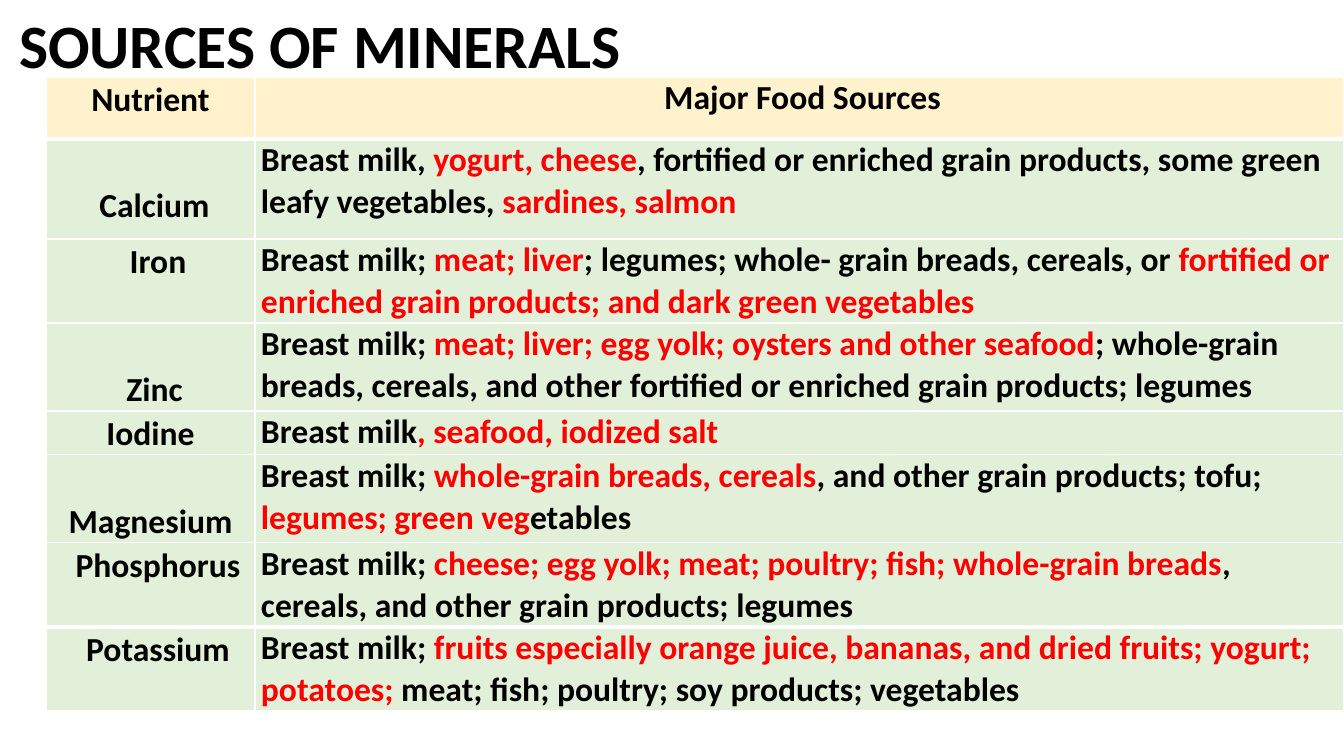
from lxml import etree
from pptx import Presentation
from pptx.dml.color import RGBColor
from pptx.enum.text import MSO_ANCHOR, PP_ALIGN
from pptx.oxml.ns import qn
from pptx.util import Pt

PX = 12192000 // 1344
LEFT, CENTER = PP_ALIGN.LEFT, PP_ALIGN.CENTER
MIDDLE = MSO_ANCHOR.MIDDLE
BLACK = RGBColor(0x00, 0x00, 0x00)
RED = RGBColor(0xFF, 0x00, 0x00)
CREAM = RGBColor(0xFF, 0xF2, 0xCC)
GREEN = RGBColor(0xE2, 0xF0, 0xD9)
WHITE = RGBColor(0xFF, 0xFF, 0xFF)
THIN, THICK = Pt(1), Pt(3)


def write(frame, *parts, size=24, align=LEFT, spacing=1.02):
    """Write one paragraph whose parts alternate between black and red."""
    paragraph = frame.paragraphs[0]
    paragraph.alignment = align
    paragraph.line_spacing = spacing
    for index, part in enumerate(parts):
        run = paragraph.add_run()
        run.text = part
        run.font.name = "Calibri"
        run.font.size = Pt(size)
        run.font.bold = True
        run.font.color.rgb = RED if index % 2 else BLACK


def dress_cell(cell, color, top, bottom):
    """Fill a cell and give it white borders, thin at the sides."""
    cell.fill.solid()
    cell.fill.fore_color.rgb = color
    properties = cell._tc.get_or_add_tcPr()
    edges = (("a:lnL", THIN), ("a:lnR", THIN), ("a:lnT", top), ("a:lnB", bottom))
    for position, (edge, width) in enumerate(edges):
        line = etree.Element(qn(edge), w=str(width))
        fill = etree.SubElement(line, qn("a:solidFill"))
        etree.SubElement(fill, qn("a:srgbClr"), val=str(WHITE))
        properties.insert(position, line)


# nutrient, left margin, top margin, row height, sources (black, red, black, ...)
MINERALS = [
    ("Nutrient", 0, 0, 62, ["Major Food Sources"]),
    ("Calcium", 8, 44, 100, [
        "Breast milk, ", "yogurt, cheese",
        ", fortified or enriched grain products, some green leafy vegetables, ",
        "sardines, salmon"]),
    ("Iron", 15, 0, 84, [
        "Breast milk; ", "meat; liver",
        "; legumes; whole- grain breads, cereals, or ",
        "fortified or enriched grain products; and dark green vegetables"]),
    ("Zinc", 8, 44, 88, [
        "Breast milk; ", "meat; liver; egg yolk; oysters and other seafood",
        "; whole-grain breads, cereals, and other fortified or enriched grain "
        "products; legumes"]),
    ("Iodine", 0, 0, 44, ["Breast milk", ", seafood, iodized salt"]),
    ("Magnesium", 0, 44, 88, [
        "Breast milk; ", "whole-grain breads, cereals",
        ", and other grain products; tofu; ", "legumes; green veg", "etables"]),
    ("Phosphorus", 15, 0, 84, [
        "Breast milk; ", "cheese; egg yolk; meat; poultry; fish; whole-grain breads",
        ", cereals, and other grain products; legumes"]),
    ("Potassium", 15, 0, 83, [
        "Breast milk; ",
        "fruits especially orange juice, bananas, and dried fruits; yogurt; potatoes; ",
        "meat; fish; poultry; soy products; vegetables"]),
]
COLUMNS = (209, 1089)
LAST = len(MINERALS) - 1
THICK_ABOVE = (1, LAST)

deck = Presentation()
deck.slide_width = 1344 * PX
deck.slide_height = 756 * PX
slide = deck.slides.add_slide(deck.slide_layouts[5])

title = slide.shapes.title
title.left, title.top, title.width, title.height = 9 * PX, 0, 634 * PX, 98 * PX
title.text_frame.vertical_anchor = MIDDLE
title.text_frame.word_wrap = True
write(title.text_frame, "SOURCES OF MINERALS", size=44, spacing=0.9)

table_height = sum(height for _, _, _, height, _ in MINERALS)
minerals = slide.shapes.add_table(
    len(MINERALS), len(COLUMNS), 46 * PX, 77 * PX,
    sum(COLUMNS) * PX, table_height * PX).table
for column, width in zip(minerals.columns, COLUMNS):
    column.width = width * PX

for row, (nutrient, left, top, height, sources) in enumerate(MINERALS):
    minerals.rows[row].height = height * PX
    nutrient_cell, sources_cell = minerals.cell(row, 0), minerals.cell(row, 1)
    for cell, margin_left, margin_top in ((nutrient_cell, left, top),
                                          (sources_cell, 6, 0)):
        cell.margin_left = margin_left * PX
        cell.margin_top = margin_top * PX
        cell.margin_right = cell.margin_bottom = 0
        dress_cell(cell, GREEN if row else CREAM,
                   THICK if row in THICK_ABOVE else THIN,
                   THICK if row + 1 in THICK_ABOVE else THIN)
    write(nutrient_cell.text_frame, nutrient, align=CENTER, spacing=1.07)
    write(sources_cell.text_frame, *sources, align=LEFT if row else CENTER)

deck.save("out.pptx")
